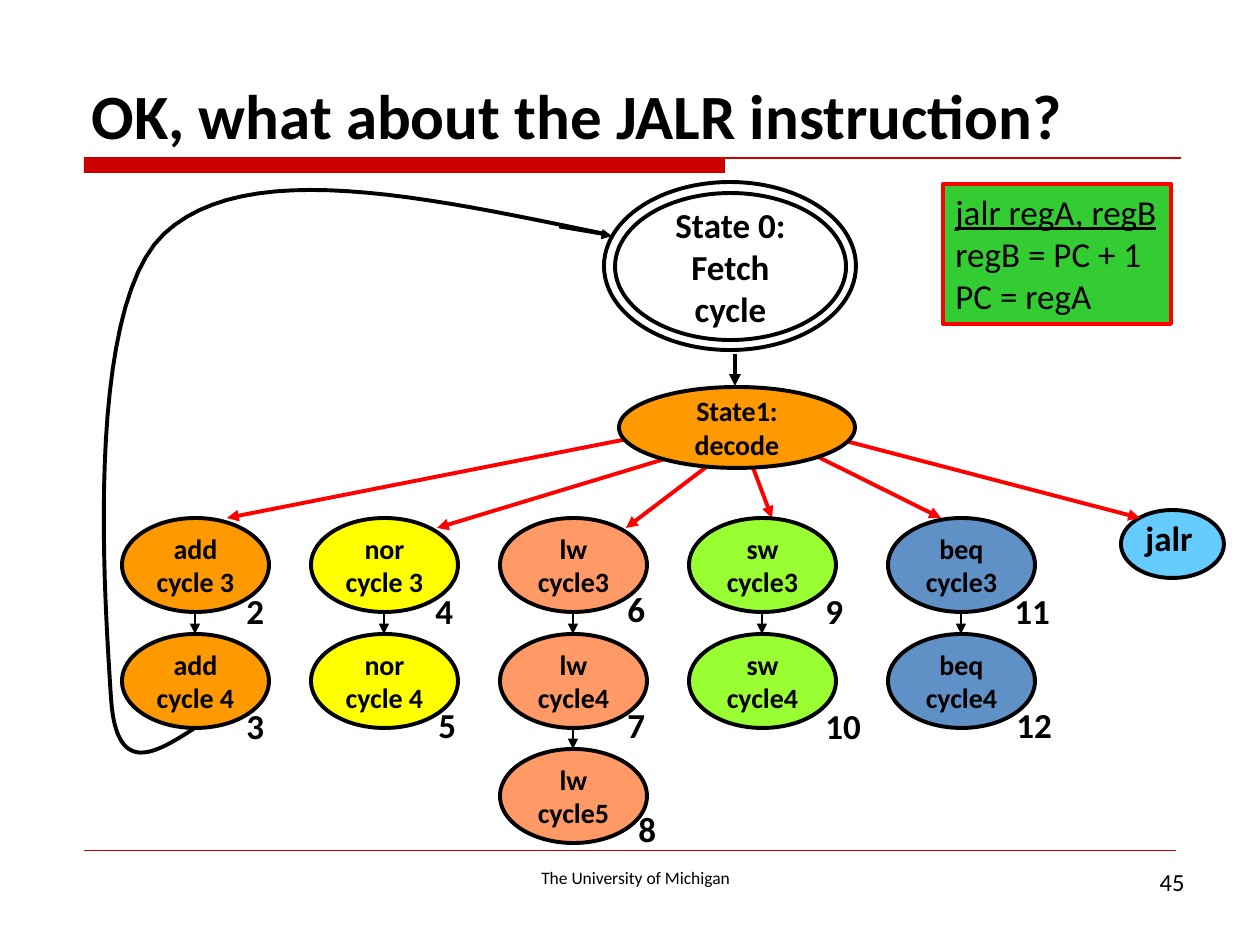
from dataclasses import dataclass
from itertools import pairwise

from lxml.etree import SubElement
from pptx import Presentation
from pptx.dml.color import RGBColor
from pptx.enum.shapes import MSO_CONNECTOR, MSO_SHAPE
from pptx.enum.text import MSO_ANCHOR, PP_ALIGN
from pptx.oxml.ns import qn
from pptx.util import Pt

EMU_PER_PX = 914400 / 126


@dataclass(frozen=True)
class Theme:
    font: str = "Calibri"
    black: str = "000000"
    rule: str = "CC0000"
    red: str = "FF0000"
    orange: str = "FF9900"
    yellow: str = "FFFF00"
    salmon: str = "FF9966"
    lime: str = "99FF33"
    blue: str = "5F91C7"
    sky: str = "66CCFF"
    green: str = "33CC33"
    title: int = 36
    label: int = 20
    node: int = 16
    page: int = 14
    footer: int = 10
    stroke: float = 2.25


THEME = Theme()


def px(n):
    return round(n * EMU_PER_PX)


def write_text(tf, text, size=THEME.label, bold=False, align=PP_ALIGN.LEFT,
               anchor=MSO_ANCHOR.TOP, underlined_line=None):
    tf.word_wrap = True
    tf.vertical_anchor = anchor
    for i, line in enumerate(text.split("\n")):
        p = tf.paragraphs[0] if i == 0 else tf.add_paragraph()
        p.alignment = align
        r = p.add_run()
        r.text = line
        r.font.name = THEME.font
        r.font.size = Pt(size)
        r.font.bold = bold
        r.font.underline = i == underlined_line
        r.font.color.rgb = RGBColor.from_string(THEME.black)


def bezier(start, c1, c2, end, steps=24):
    for i in range(1, steps + 1):
        t = i / steps
        weights = ((1 - t) ** 3, 3 * t * (1 - t) ** 2, 3 * t * t * (1 - t), t ** 3)
        yield tuple(sum(w * pt[axis] for w, pt in zip(weights, (start, c1, c2, end)))
                    for axis in (0, 1))


class Canvas:
    def __init__(self, slide, theme):
        self.s = slide
        self.theme = theme

    def paint(self, sp, fill, line, width):
        sp.shadow.inherit = False
        if fill:
            sp.fill.solid()
            sp.fill.fore_color.rgb = RGBColor.from_string(fill)
        else:
            sp.fill.background()
        if line:
            sp.line.color.rgb = RGBColor.from_string(line)
            sp.line.width = Pt(width)
        else:
            sp.line.fill.background()

    def shape(self, kind, box, fill=None, line=THEME.black, text=None, **fmt):
        sp = self.s.shapes.add_shape(kind, *map(px, box))
        self.paint(sp, fill, line, self.theme.stroke)
        if text:
            write_text(sp.text_frame, text, **fmt)

    def state(self, box, fill=None, text=None, size=THEME.node):
        self.shape(MSO_SHAPE.OVAL, box, fill, text=text, size=size, bold=True,
                   align=PP_ALIGN.CENTER, anchor=MSO_ANCHOR.MIDDLE)

    def text(self, box, text, **fmt):
        sp = self.s.shapes.add_textbox(*map(px, box))
        write_text(sp.text_frame, text, **fmt)

    def line(self, start, end, color, width, arrow=True):
        c = self.s.shapes.add_connector(MSO_CONNECTOR.STRAIGHT, *map(px, start + end))
        c.line.color.rgb = RGBColor.from_string(color)
        c.line.width = Pt(width)
        if arrow:
            SubElement(c.get_or_add_ln(), qn("a:tailEnd"), type="triangle")
        SubElement(c.element.spPr, qn("a:effectLst"))

    def curve(self, start, segments):
        points = [start]
        for segment in segments:
            points.extend(bezier(points[-1], *segment))
        emu = [(px(x), px(y)) for x, y in points]
        builder = self.s.shapes.build_freeform(*emu[0], scale=1.0)
        builder.add_line_segments(emu[1:], close=False)
        self.paint(builder.convert_to_shape(), None, self.theme.black, self.theme.stroke)


NODE_W, NODE_H = 147, 94
ROW_TOPS = (518, 634, 749)
INSTRUCTIONS = (
    ("add", "cycle ", THEME.orange, 122, ((234, 583), (234, 698))),
    ("nor", "cycle ", THEME.yellow, 311, ((423, 583), (426, 697))),
    ("lw", "cycle", THEME.salmon, 500, ((615, 581), (615, 697), (626, 801))),
    ("sw", "cycle", THEME.lime, 689, ((813, 583), (813, 698))),
    ("beq", "cycle", THEME.blue, 888, ((1002, 583), (1004, 697))),
)
DECODE_ARROWS = (
    ((658, 433), (227, 518)),
    ((678, 455), (437, 528)),
    ((709, 465), (626, 528)),
    ((752, 465), (772, 518)),
    ((784, 440), (941, 518)),
    ((815, 433), (1140, 518)),
)
LOOP = (
    ((156, 753), (116, 779), (111, 697)),
    ((106, 614), (82, 311), (164, 234)),
    ((246, 157), (425, 197), (605, 234)),
)


def draw_frame(cv):
    cv.shape(MSO_SHAPE.RECTANGLE, (84, 158, 641, 15), THEME.rule, line=None)
    cv.line((84, 158), (1181, 158), THEME.rule, 0.75, arrow=False)
    cv.line((84, 850), (1176, 850), THEME.rule, 0.25, arrow=False)
    cv.text((399, 861, 473, 34), "The University of Michigan",
            size=THEME.footer, align=PP_ALIGN.CENTER)
    cv.text((903, 861, 294, 66), "45", size=THEME.page, align=PP_ALIGN.RIGHT)
    cv.text((79, 42, 1103, 116), "OK, what about the JALR instruction?",
            size=THEME.title, bold=True, anchor=MSO_ANCHOR.BOTTOM)


def draw_instructions(cv):
    number = 2
    for name, cycle, fill, left, labels in INSTRUCTIONS:
        tops = ROW_TOPS[:len(labels)]
        for i, (top, label) in enumerate(zip(tops, labels)):
            cv.state((left, top, NODE_W, NODE_H), fill, f"{name}\n{cycle}{i + 3}")
            cv.text((*label, 43 if number < 10 else 62, 55), str(number), bold=True)
            number += 1
        center = left + NODE_W // 2
        for upper, lower in pairwise(tops):
            cv.line((center, upper + NODE_H), (center, lower), THEME.black, 1)


def main():
    prs = Presentation()
    prs.slide_width, prs.slide_height = px(1260), px(945)
    cv = Canvas(prs.slides.add_slide(prs.slide_layouts[6]), THEME)

    draw_frame(cv)
    cv.state((1121, 510, 103, 68), THEME.sky)
    cv.text((1133, 510, 73, 55), "jalr", bold=True)
    cv.state((615, 193, 231, 147), text="State 0:\nFetch cycle", size=THEME.label)
    cv.state((604, 182, 252, 168))
    cv.line((735, 354), (735, 386), THEME.black, THEME.stroke)
    cv.curve((195, 728), LOOP)
    cv.line((559, 227), (612, 236), THEME.black, 1.5)
    for start, end in DECODE_ARROWS:
        cv.line(start, end, THEME.red, THEME.stroke)
    draw_instructions(cv)
    cv.state((619, 387, 236, 81), THEME.orange, "State1:\ndecode")
    cv.shape(MSO_SHAPE.RECTANGLE, (943, 184, 228, 140), THEME.green, THEME.red,
             "jalr regA, regB\nregB = PC + 1\nPC = regA", underlined_line=0)

    prs.save("out.pptx")


if __name__ == "__main__":
    main()
